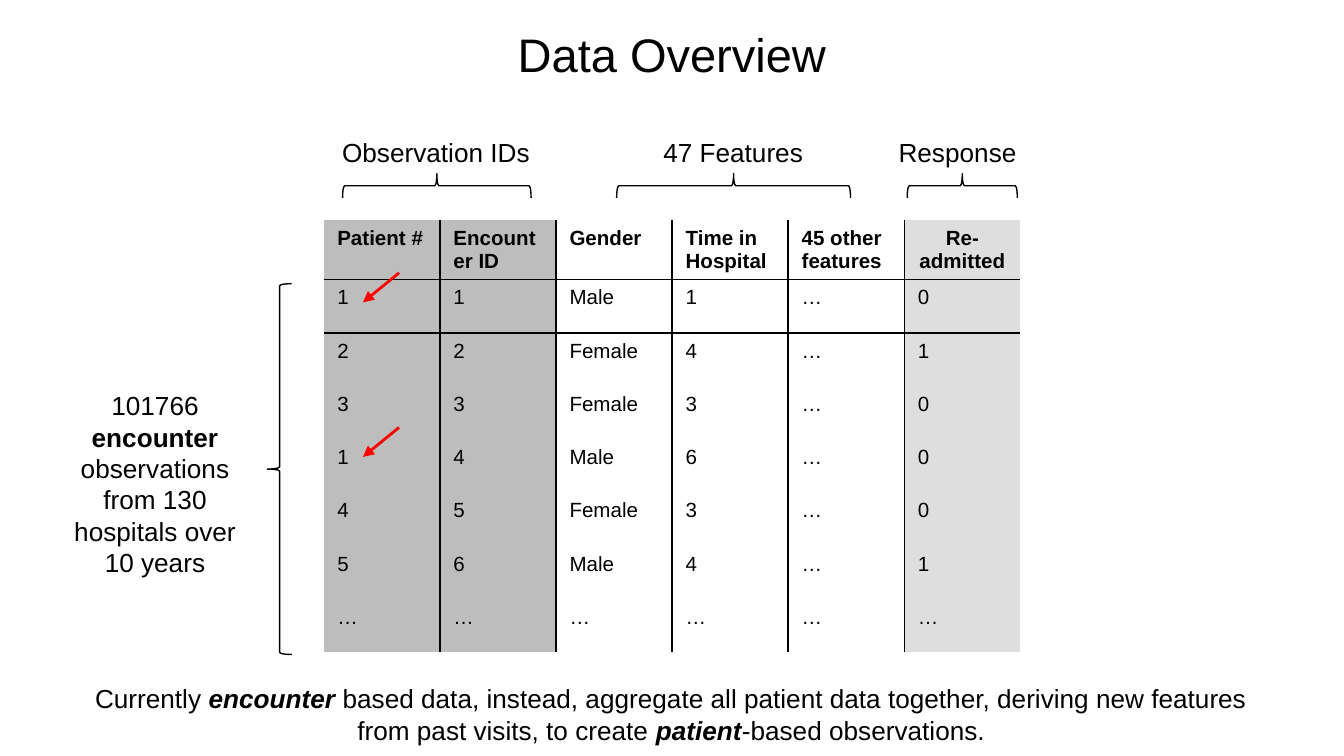
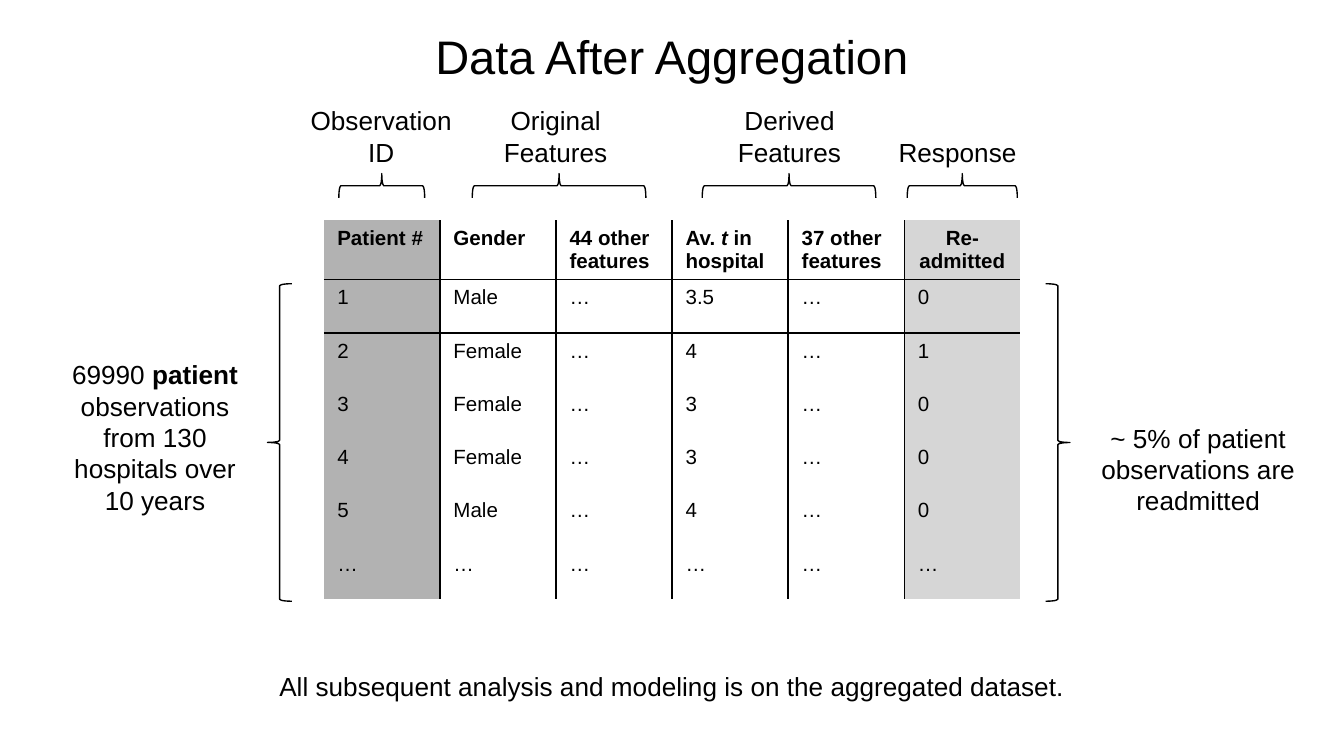
"""Two slides comparing encounter-based data with patient-based data."""
from lxml import etree
from pptx import Presentation
from pptx.dml.color import RGBColor
from pptx.enum.shapes import MSO_CONNECTOR, MSO_SHAPE
from pptx.enum.text import MSO_ANCHOR, MSO_AUTO_SIZE, PP_ALIGN
from pptx.oxml.ns import qn
from pptx.util import Pt

CENTER, LEFT = PP_ALIGN.CENTER, PP_ALIGN.LEFT
MIDDLE = MSO_ANCHOR.MIDDLE
GROW = MSO_AUTO_SIZE.SHAPE_TO_FIT_TEXT
NO_FIT = MSO_AUTO_SIZE.NONE
LEFT_BRACE = MSO_SHAPE.LEFT_BRACE
STRAIGHT = MSO_CONNECTOR.STRAIGHT

COLORS = {"ink": "000000", "arrow": "FF0000"}
FONT = "Arial"
PLAIN_TABLE_STYLE = "{2D5ABB26-0587-4C30-8999-92F81FD0307C}"
TITLE_ONLY = 5
TABLE_LEFT, TABLE_TOP = 173.5, 118
COLUMN_WIDTH, HEADER_HEIGHT, ROW_HEIGHT = 62.2, 31.7, 28.55
LABEL_BOTTOM, LABEL_LINE, LABEL_WIDTH = 93.6, 16.9, 120.2
BRACE_DEPTH, TOP_BRACE_MIDDLE, SIDE_BRACE_TOP = 13, 99.5, 152

# Runs are (text, style) pairs, where style may hold "b" for bold and "i" for italic.
SLIDES = [
    {
        "title": "Data Overview",
        "title_top": 5.8,
        "headers": ["Patient #", "Encounter ID", "Gender", "Time in Hospital",
                    "45 other features", "Re-admitted"],
        "rows": [
            ["1", "1", "Male", "1", "…", "0"],
            ["2", "2", "Female", "4", "…", "1"],
            ["3", "3", "Female", "3", "…", "0"],
            ["1", "4", "Male", "6", "…", "0"],
            ["4", "5", "Female", "3", "…", "0"],
            ["5", "6", "Male", "4", "…", "1"],
            ["…"] * 6,
        ],
        "fills": {0: "BDBDBD", 1: "BDBDBD", 5: "DEDEDE"},
        # text, lines, label middle, label width, brace middle, brace length
        "groups": [
            ("Observation IDs", 1, 233.6, LABEL_WIDTH, 234, 101),
            ("47 Features", 1, 392.8, LABEL_WIDTH, 393, 125.3),
            ("Response", 1, 513, LABEL_WIDTH, 515.5, 59),
        ],
        "side_braces": [(143.3, 0)],
        # runs, left, top, width, height
        "notes": [
            ([("101766 ", ""), ("encounter", "b"),
              (" observations from 130 hospitals over 10 years", "")],
             23, 205.2, LABEL_WIDTH, 108.7),
            ([("Currently ", ""), ("encounter", "bi"),
              (" based data, instead, aggregate all patient data together, deriving "
               "new features from past visits, to create ", ""),
              ("patient", "bi"), ("-based observations.", "")],
             39.6, 362.2, 640, 41),
        ],
        "arrow_tops": [146.2, 229],
    },
    {
        "title": "Data After Aggregation",
        "title_top": 7.2,
        "headers": ["Patient #", "Gender", "44 other features",
                    [("Av. ", ""), ("t ", "i"), ("in hospital", "")],
                    "37 other features", "Re-admitted"],
        "rows": [
            ["1", "Male", "…", "3.5", "…", "0"],
            ["2", "Female", "…", "4", "…", "1"],
            ["3", "Female", "…", "3", "…", "0"],
            ["4", "Female", "…", "3", "…", "0"],
            ["5", "Male", "…", "4", "…", "0"],
            ["…"] * 6,
        ],
        "fills": {0: "B2B2B2", 5: "D6D6D6"},
        "groups": [
            ("Observation ID", 2, 204.2, 97.2, 204.5, 46),
            ("Original Features", 2, 297.7, LABEL_WIDTH, 299.5, 93),
            ("Derived Features", 2, 423, LABEL_WIDTH, 422.7, 93),
            ("Response", 1, 513, LABEL_WIDTH, 515.5, 59),
        ],
        "side_braces": [(143.3, 0), (560.2, 180)],
        "notes": [
            ([("69990 ", ""), ("patient", "b"),
              (" observations from 130 hospitals over 10 years", "")],
             23, 188.6, LABEL_WIDTH, 92),
            ("~ 5% of patient observations are readmitted",
             581.8, 222.5, LABEL_WIDTH, 58),
            ("All subsequent analysis and modeling is on the aggregated dataset.",
             136, 355.7, 448, 24.5),
        ],
        "arrow_tops": [],
    },
]


def write(frame, content, size, align=CENTER, bold=False):
    paragraph = frame.paragraphs[0]
    paragraph.alignment = align
    font = paragraph.font
    font.name, font.size, font.bold = FONT, Pt(size), bold
    font.color.rgb = RGBColor.from_string(COLORS["ink"])
    runs = [(content, "")] if isinstance(content, str) else content
    for text, style in runs:
        run = paragraph.add_run()
        run.text = text
        if "b" in style:
            run.font.bold = True
        if "i" in style:
            run.font.italic = True


def add_brace(slide, left, top, height, rotation):
    brace = slide.shapes.add_shape(LEFT_BRACE, Pt(left), Pt(top), Pt(BRACE_DEPTH), Pt(height))
    brace.rotation = rotation
    brace.shadow.inherit = False
    brace.fill.background()
    brace.line.color.rgb = RGBColor.from_string(COLORS["ink"])
    brace.line.width = Pt(0.75)


prs = Presentation()
prs.slide_width, prs.slide_height = Pt(720), Pt(405)

for content in SLIDES:
    slide = prs.slides.add_slide(prs.slide_layouts[TITLE_ONLY])
    title = slide.shapes.title
    title.left, title.top, title.width, title.height = (
        Pt(24.5), Pt(content["title_top"]), Pt(671), Pt(45.4))
    title_frame = title.text_frame
    title_frame.auto_size = NO_FIT
    title_frame.vertical_anchor = MIDDLE
    title_frame.margin_left = title_frame.margin_right = Pt(7.2)
    title_frame.margin_top = title_frame.margin_bottom = Pt(7.2)
    write(title_frame, content["title"], 25.2)

    records = [content["headers"]] + content["rows"]
    columns = len(content["headers"])
    body_height = ROW_HEIGHT * len(content["rows"])
    table_frame = slide.shapes.add_table(
        len(records), columns, Pt(TABLE_LEFT), Pt(TABLE_TOP),
        Pt(COLUMN_WIDTH * columns), Pt(HEADER_HEIGHT + body_height))
    table = table_frame.table
    table.first_row = table.horz_banding = False
    next(table_frame.element.iter(qn("a:tableStyleId"))).text = PLAIN_TABLE_STYLE
    for column in table.columns:
        column.width = Pt(COLUMN_WIDTH)
    for r, record in enumerate(records):
        table.rows[r].height = Pt(ROW_HEIGHT if r else HEADER_HEIGHT)
        for c, value in enumerate(record):
            cell = table.cell(r, c)
            centred = r == 0 and c == columns - 1
            write(cell.text_frame, value, 11, CENTER if centred else LEFT, bold=r == 0)
            cell_properties = cell.text_frame._txBody.getparent().get_or_add_tcPr()
            borders = {"a:lnL": c > 0, "a:lnR": c < columns - 1,
                       "a:lnT": r == 1, "a:lnB": r == 0}
            for side, shown in borders.items():
                if shown:
                    border = etree.SubElement(cell_properties, qn(side), w=str(Pt(1)))
                    solid = etree.SubElement(border, qn("a:solidFill"))
                    etree.SubElement(solid, qn("a:srgbClr"), val=COLORS["ink"])
            if c in content["fills"]:
                cell.fill.solid()
                cell.fill.fore_color.rgb = RGBColor.from_string(content["fills"][c])
            else:
                cell.fill.background()

    notes = list(content["notes"])
    for text, lines, middle, width, brace_middle, length in content["groups"]:
        height = LABEL_LINE * lines + 7.2
        notes.append((text, middle - width / 2, LABEL_BOTTOM - height, width, height))
        add_brace(slide, brace_middle - BRACE_DEPTH / 2, TOP_BRACE_MIDDLE - length / 2,
                  length, 90)
    for left, rotation in content["side_braces"]:
        add_brace(slide, left, SIDE_BRACE_TOP, body_height - 1.2, rotation)

    for text, left, top, width, height in notes:
        note = slide.shapes.add_textbox(Pt(left), Pt(top), Pt(width), Pt(height))
        note.text_frame.word_wrap = True
        note.text_frame.auto_size = GROW
        write(note.text_frame, text, 14)

    for top in content["arrow_tops"]:
        arrow = slide.shapes.add_connector(
            STRAIGHT, Pt(213.8), Pt(top), Pt(194.4), Pt(top + 15.8))
        arrow.line.color.rgb = RGBColor.from_string(COLORS["arrow"])
        arrow.line.width = Pt(1.5)
        etree.SubElement(arrow.line._get_or_add_ln(), qn("a:tailEnd"), type="triangle")
        etree.SubElement(arrow.element.spPr, qn("a:effectLst"))

prs.save("out.pptx")
